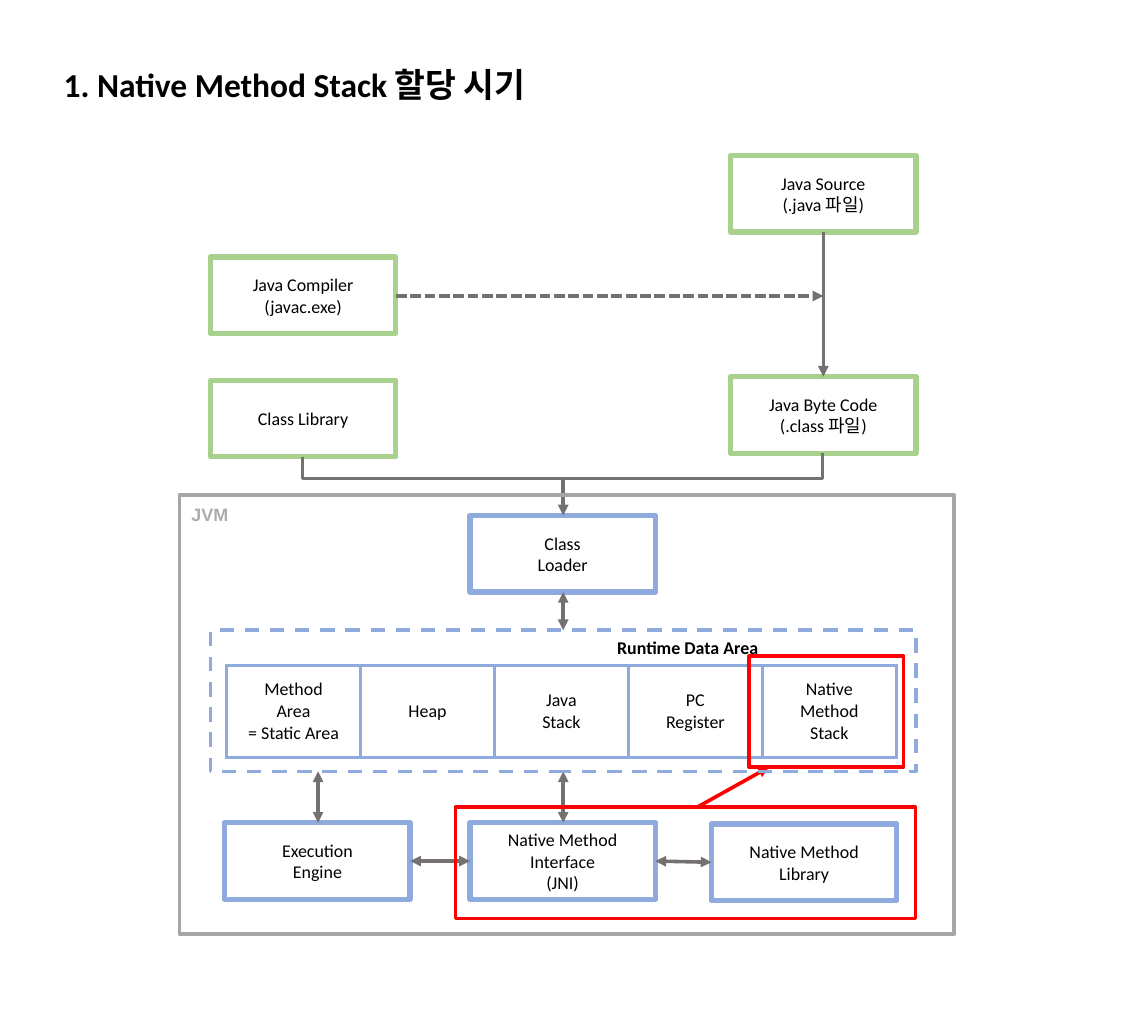
from pptx import Presentation
from pptx.dml.color import RGBColor
from pptx.enum.dml import MSO_LINE
from pptx.enum.shapes import MSO_CONNECTOR, MSO_SHAPE
from pptx.enum.text import MSO_ANCHOR, PP_ALIGN
from pptx.oxml.ns import qn
from pptx.util import Pt
from lxml.etree import SubElement

GREEN = RGBColor(0xA9, 0xD1, 0x8E)
BLUE = RGBColor(0x8F, 0xAA, 0xDC)
DARK_GRAY = RGBColor(0x76, 0x71, 0x71)
FRAME_GRAY = RGBColor(0xA6, 0xA6, 0xA6)
LABEL_GRAY = RGBColor(0xAF, 0xAB, 0xAB)
RED = RGBColor(0xFF, 0x00, 0x00)
BLACK = RGBColor(0x00, 0x00, 0x00)
BOX_WIDTH, BOX_HEIGHT = 155, 64


def write(frame, text, size=15, color=BLACK, bold=False, align=PP_ALIGN.CENTER, font="Calibri"):
    frame.text = text
    for para in frame.paragraphs:
        para.alignment = align
        para.font.name = font
        para.font.size = Pt(size)
        para.font.bold = bold
        para.font.color.rgb = color


def style_line(shape, color, width=3, dash=None, ends=()):
    shape.line.color.rgb = color
    shape.line.width = Pt(width)
    if dash:
        shape.line.dash_style = dash
    for end in ends:
        SubElement(shape.line._get_or_add_ln(), qn(f"a:{end}"), type="triangle")


deck = Presentation()
deck.slide_width, deck.slide_height = Pt(960), Pt(850.4)
page = deck.slides.add_slide(deck.slide_layouts[5])
shapes = page.shapes

title = shapes.title
title.left, title.top, title.width, title.height = Pt(46), Pt(50), Pt(415), Pt(41)
title.text_frame.word_wrap = False
title.text_frame.vertical_anchor = MSO_ANCHOR.MIDDLE
write(title.text_frame, "1. Native Method Stack 할당 시기", 28, bold=True, align=PP_ALIGN.LEFT)

boxes = [
    ("Java Source\n(.java 파일)", 611, 130, GREEN),
    ("Java Byte Code\n(.class 파일)", 611, 315, GREEN),
    ("Java Compiler\n(javac.exe)", 176, 215, GREEN),
    ("Class Library", 176, 318, GREEN),
    ("Class\nLoader", 393, 431, BLUE),
    ("Execution\nEngine", 188, 688, BLUE),
    ("Native Method\nInterface\n(JNI)", 393, 688, BLUE),
    ("Native Method\nLibrary", 595, 689, BLUE),
]
for text, left, top, color in boxes:
    box = shapes.add_shape(MSO_SHAPE.RECTANGLE, Pt(left), Pt(top), Pt(BOX_WIDTH), Pt(BOX_HEIGHT))
    box.shadow.inherit = False
    box.fill.background()
    style_line(box, color, 4.5)
    box.text_frame.vertical_anchor = MSO_ANCHOR.MIDDLE
    write(box.text_frame, text)

builder = shapes.build_freeform(Pt(253), Pt(382))
builder.add_line_segments([(Pt(253), Pt(400)), (Pt(688), Pt(400)), (Pt(688), Pt(379))], close=False)
junction = builder.convert_to_shape()
junction.shadow.inherit = False
junction.fill.background()
style_line(junction, DARK_GRAY)

ONE_WAY, TWO_WAY = ("tailEnd",), ("headEnd", "tailEnd")
arrows = [
    (688.5, 194, 688.5, 315, DARK_GRAY, None, ONE_WAY),
    (331, 247.5, 688.5, 247.5, DARK_GRAY, MSO_LINE.SQUARE_DOT, ONE_WAY),
    (471, 401, 471, 431, DARK_GRAY, None, ONE_WAY),
    (471, 495, 471, 527, DARK_GRAY, None, TWO_WAY),
    (471, 645, 471, 688, DARK_GRAY, None, TWO_WAY),
    (266, 645, 266, 688, DARK_GRAY, None, TWO_WAY),
    (595, 721, 548, 720, DARK_GRAY, None, TWO_WAY),
    (393, 720, 343, 720, DARK_GRAY, None, TWO_WAY),
    (583, 675, 643, 641.5, RED, None, ONE_WAY),
]
for x1, y1, x2, y2, color, dash, ends in arrows:
    arrow = shapes.add_connector(MSO_CONNECTOR.STRAIGHT, Pt(x1), Pt(y1), Pt(x2), Pt(y2))
    style_line(arrow, color, dash=dash, ends=ends)
    SubElement(arrow._element.spPr, qn("a:effectLst"))

areas = ["Method\nArea\n= Static Area", "Heap", "Java\nStack", "PC\nRegister", "Native\nMethod\nStack"]
graphic = shapes.add_table(1, len(areas), Pt(189.5), Pt(556.5), Pt(560), Pt(77))
table = graphic.table
table.first_row = table.horz_banding = False
for cell, text in zip(table.iter_cells(), areas):
    for side in ("lnL", "lnR", "lnT", "lnB"):
        border = SubElement(cell._tc.get_or_add_tcPr(), qn(f"a:{side}"), w=str(Pt(3)))
        SubElement(SubElement(border, qn("a:solidFill")), qn("a:srgbClr"), val=str(BLUE))
    cell.fill.background()
    cell.vertical_anchor = MSO_ANCHOR.MIDDLE
    write(cell.text_frame, text)

frames = [
    (176, 527, 590, 118, BLUE, MSO_LINE.DASH),
    (150, 414, 648, 367, FRAME_GRAY, None),
    (381, 675, 384.5, 93, RED, None),
    (626.5, 548.5, 129, 93, RED, None),
]
for left, top, width, height, color, dash in frames:
    frame = shapes.add_shape(MSO_SHAPE.RECTANGLE, Pt(left), Pt(top), Pt(width), Pt(height))
    frame.shadow.inherit = False
    frame.fill.background()
    style_line(frame, color, dash=dash)

labels = [
    ("Runtime Data Area", 509, 528.5, 134, BLACK, "Calibri", PP_ALIGN.LEFT),
    ("JVM", 152.5, 417.5, 46, LABEL_GRAY, "Arial", PP_ALIGN.CENTER),
]
for text, left, top, width, color, font, align in labels:
    label = shapes.add_textbox(Pt(left), Pt(top), Pt(width), Pt(25))
    label.text_frame.word_wrap = False
    write(label.text_frame, text, color=color, bold=True, align=align, font=font)

deck.save("out.pptx")
